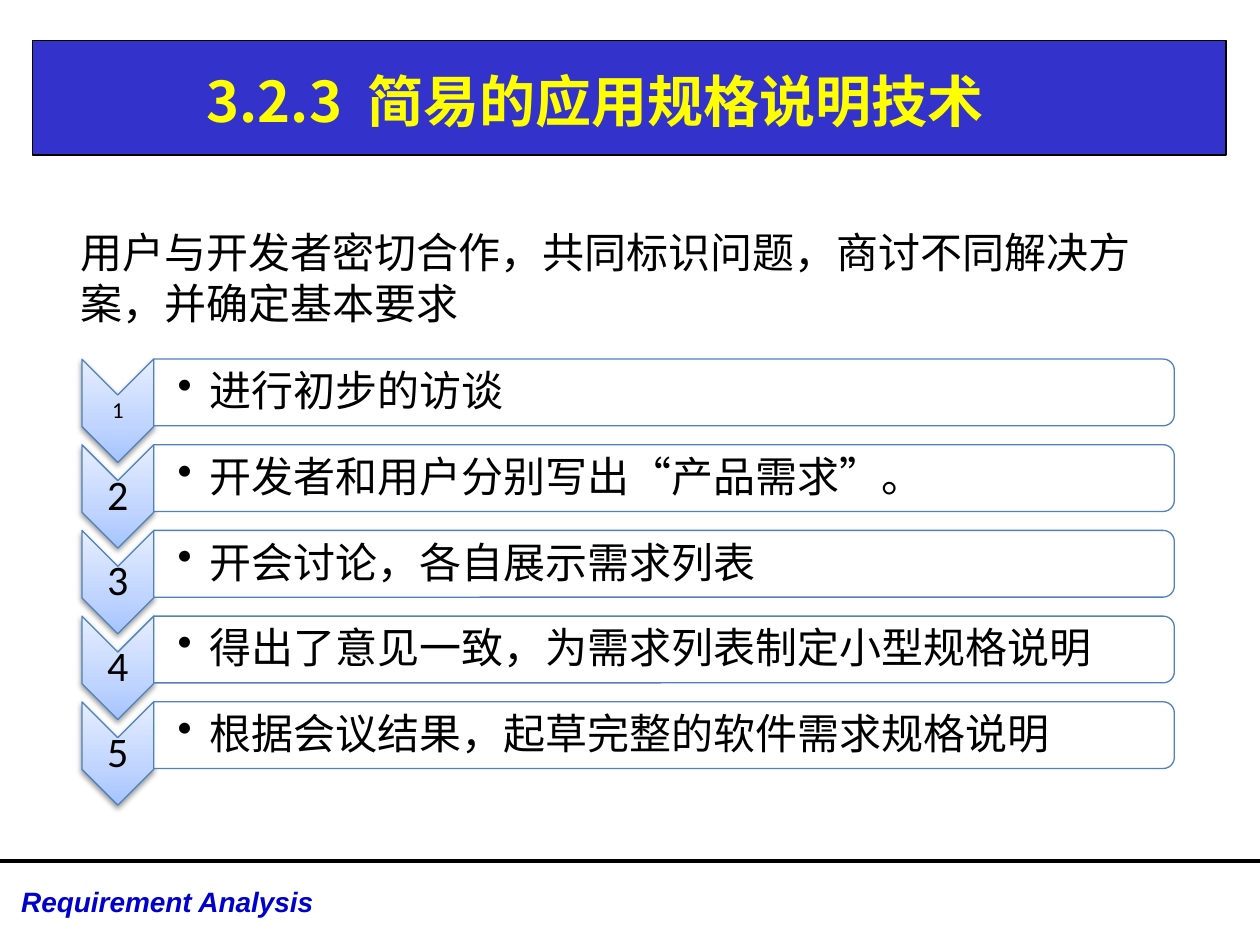
from lxml import etree
from pptx import Presentation
from pptx.dml.color import RGBColor
from pptx.enum.shapes import MSO_CONNECTOR, MSO_SHAPE
from pptx.enum.text import MSO_ANCHOR, MSO_AUTO_SIZE, PP_ALIGN
from pptx.oxml import parse_xml
from pptx.oxml.ns import qn
from pptx.util import Inches, Pt

MIDDLE = MSO_ANCHOR.MIDDLE
CENTER = PP_ALIGN.CENTER
RECTANGLE = MSO_SHAPE.RECTANGLE
CHEVRON = MSO_SHAPE.CHEVRON
ROUND_SIDE = MSO_SHAPE.ROUND_2_SAME_RECTANGLE
STRAIGHT = MSO_CONNECTOR.STRAIGHT

CJK_FONT = "Noto Sans CJK SC"
BLACK, OUTLINE = "000000", "4F81BD"
ROW_PITCH = 0.68
STEPS = [
    "进行初步的访谈",
    "开发者和用户分别写出“产品需求”。",
    "开会讨论，各自展示需求列表",
    "得出了意见一致，为需求列表制定小型规格说明",
    "根据会议结果，起草完整的软件需求规格说明",
]
DRAWING_NS = 'xmlns:a="http://schemas.openxmlformats.org/drawingml/2006/main"'
GRADIENT = (
    f'<a:gradFill {DRAWING_NS} rotWithShape="0"><a:gsLst>'
    '<a:gs pos="0"><a:srgbClr val="A4C4FF"/></a:gs>'
    '<a:gs pos="35000"><a:srgbClr val="BFD4FF"/></a:gs>'
    '<a:gs pos="100000"><a:srgbClr val="E6EEFF"/></a:gs>'
    '</a:gsLst><a:lin ang="16200000" scaled="0"/></a:gradFill>'
)
SHADOW = (
    f'<a:effectLst {DRAWING_NS}><a:outerShdw blurRad="40000" dist="20000" '
    'dir="5400000" rotWithShape="0"><a:srgbClr val="000000">'
    '<a:alpha val="38000"/></a:srgbClr></a:outerShdw></a:effectLst>'
)


def color(value):
    """Turn a hex string into a colour."""
    return RGBColor.from_string(value)


def add_span(para, text, size, font, fill, bold=False, italic=False):
    """Add one formatted run to a paragraph."""
    span = para.add_run()
    span.text = text
    span.font.size = Pt(size)
    span.font.name = font
    span.font.bold = bold
    span.font.italic = italic
    span.font.color.rgb = color(fill)
    properties = span.font._element
    east_asian = etree.SubElement(properties, qn("a:ea"))
    east_asian.set("typeface", CJK_FONT)
    return span


def add_box(page, left, top, width, height):
    """Add a wrapping text box and return its text frame."""
    box = page.shapes.add_textbox(
        Inches(left), Inches(top), Inches(width), Inches(height))
    box.text_frame.word_wrap = True
    return box.text_frame


def set_insets(frame, left, others):
    """Set the inner margins of a text frame."""
    frame.margin_left = Inches(left)
    frame.margin_top = frame.margin_right = frame.margin_bottom = Inches(others)


def add_outlined(page, kind, left, top, width, height, line):
    """Add a preset shape with a thin outline and no shadow."""
    shape = page.shapes.add_shape(
        kind, Inches(left), Inches(top), Inches(width), Inches(height))
    shape.shadow.inherit = False
    shape.line.color.rgb = color(line)
    shape.line.width = Pt(0.75)
    return shape


def add_turned(page, kind, left, top, width, height):
    """Add a shape turned a quarter so that it covers the given box."""
    shape = add_outlined(
        page, kind, left + (width - height) / 2, top + (height - width) / 2,
        height, width, OUTLINE)
    shape.rotation = 90
    return shape


def add_heading(page, left, top, width, height):
    """Place the title over its blue bar."""
    bar = add_outlined(page, RECTANGLE, left, top, width, height, BLACK)
    bar.fill.solid()
    bar.fill.fore_color.rgb = color("3333CC")
    title = page.shapes.title
    title.left, title.top = Inches(0), Inches(0.36)
    title.width, title.height = Inches(9.45), Inches(0.87)
    bar._element.addnext(title._element)
    frame = title.text_frame
    frame.auto_size = MSO_AUTO_SIZE.NONE
    frame.vertical_anchor = MIDDLE
    para = frame.paragraphs[0]
    para.alignment = CENTER
    style = (32, CJK_FONT, "FFFF00", True)
    add_span(para, "3.2.3", *style)
    gap = add_span(para, " ", *style)
    gap.font._element.set("spc", "700")
    add_span(para, "简易的应用规格说明技术", *style)


def add_footer(page, left, top, width, height):
    """Draw the rule and the course name below it."""
    rule = page.shapes.add_connector(
        STRAIGHT, Inches(0), Inches(6.83), Inches(10), Inches(6.83))
    rule.line.color.rgb = color(BLACK)
    rule.line.width = Pt(2.25)
    etree.SubElement(rule._element.spPr, qn("a:effectLst"))
    frame = add_box(page, left, top, width, height)
    add_span(frame.paragraphs[0], "Requirement Analysis", 16, "Arial", "0000CC",
             bold=True, italic=True)


def add_intro(page, left, top, width, height):
    """Write the introductory sentence."""
    frame = add_box(page, left, top, width, height)
    add_span(frame.paragraphs[0],
             "用户与开发者密切合作，共同标识问题，商讨不同解决方案，并确定基本要求",
             24, "Arial", BLACK)


def add_step(page, number, text, left, top, width):
    """Draw one numbered chevron with its panel."""
    arrow_width, arrow_height, panel_height = 0.57, 0.82, 0.53
    arrow = add_turned(page, CHEVRON, left, top, arrow_width, arrow_height)
    properties = arrow._element.spPr
    properties.find(qn("a:prstGeom")).addnext(parse_xml(GRADIENT))
    properties.replace(properties.find(qn("a:effectLst")), parse_xml(SHADOW))

    size = 13 if number == 1 else 24
    frame = add_box(page, left, top + 0.29, arrow_width, 0.24)
    frame.vertical_anchor = MIDDLE
    set_insets(frame, 0.02, 0.02)
    para = frame.paragraphs[0]
    para.alignment = CENTER
    para.line_spacing = 0.9
    add_span(para, str(number), size, "Calibri", BLACK)

    panel_left, panel_width = left + arrow_width, width - arrow_width
    panel = add_turned(
        page, ROUND_SIDE, panel_left, top, panel_width, panel_height)
    panel.fill.solid()
    panel.fill.fore_color.rgb = color("FFFFFF")
    tint = panel._element.spPr.find(qn("a:solidFill"))[0]
    etree.SubElement(tint, qn("a:alpha")).set("val", "90000")

    frame = add_box(page, panel_left, top + 0.03, panel_width - 0.02, 0.48)
    frame.vertical_anchor = MIDDLE
    set_insets(frame, 0.19, 0.02)
    para = frame.paragraphs[0]
    layout = para._p.get_or_add_pPr()
    layout.set("marL", str(Inches(0.25)))
    layout.set("indent", str(Inches(-0.25)))
    etree.SubElement(layout, qn("a:buChar")).set("char", "•")
    para.level = 1
    para.line_spacing = 0.9
    para.space_after = Pt(3.6)
    add_span(para, text, 24, "Calibri", BLACK)


def add_steps(page, left, top, width):
    """Stack the numbered steps at an equal pitch."""
    for index, text in enumerate(STEPS):
        add_step(page, index + 1, text, left, top + index * ROW_PITCH, width)


def main():
    """Build the slide and save it."""
    deck = Presentation()
    deck.slide_width, deck.slide_height = Inches(10), Inches(7.5)
    page = deck.slides.add_slide(deck.slide_layouts[5])
    add_heading(page, 0.26, 0.32, 9.47, 0.91)
    add_footer(page, 0.07, 6.97, 2.91, 0.37)
    add_steps(page, 0.65, 2.85, 8.67)
    add_intro(page, 0.54, 1.75, 8.78, 0.91)
    deck.save("out.pptx")


if __name__ == "__main__":
    main()
